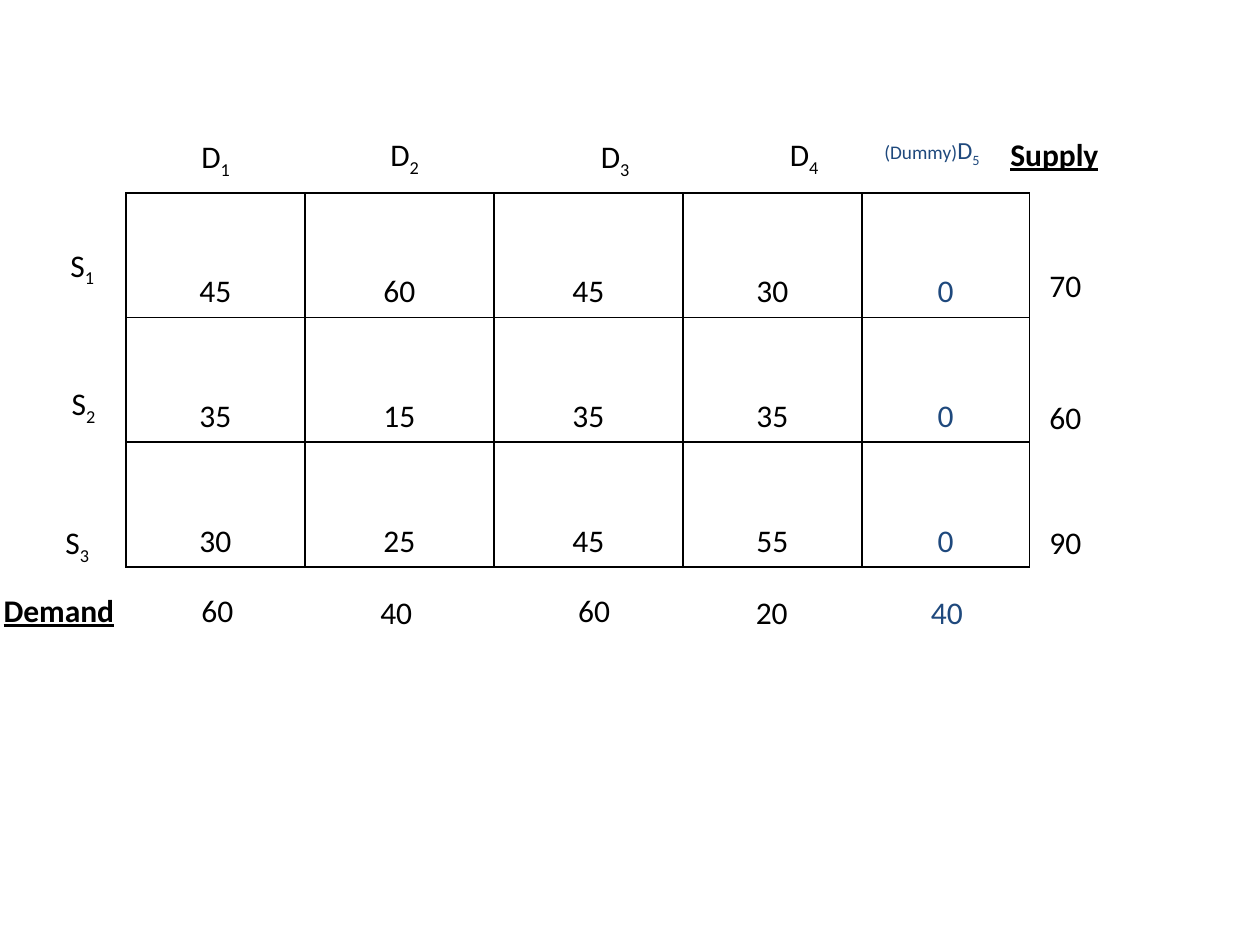
from lxml import etree
from pptx import Presentation
from pptx.dml.color import RGBColor
from pptx.enum.text import MSO_ANCHOR, MSO_AUTO_SIZE, PP_ALIGN
from pptx.oxml.ns import qn
from pptx.util import Inches, Pt

BLACK = RGBColor(0x00, 0x00, 0x00)
BLUE = RGBColor(0x1F, 0x49, 0x7D)
FONT = "Calibri"
CENTER = PP_ALIGN.CENTER
BOTTOM = MSO_ANCHOR.BOTTOM
GROW = MSO_AUTO_SIZE.SHAPE_TO_FIT_TEXT

COSTS = [
    [45, 60, 45, 30, 0],
    [35, 15, 35, 35, 0],
    [30, 25, 45, 55, 0],
]
COLUMN_WIDTHS = [1.42, 1.5, 1.5, 1.42, 1.33]
ROW_HEIGHT = 0.99
DUMMY_COLUMN = 4
SOURCES = [(0.46, 1.9), (0.47, 3), (0.42, 4.1)]
DESTINATIONS = [(1.5, 1.04), (3, 1.02), (4.67, 1.04), (6.17, 1.02)]
SUPPLIES = [(70, 2.06), (60, 3.11), (90, 4.1)]
DEMANDS = [
    (60, 1.5, 4.64, BLACK),
    (40, 2.92, 4.66, BLACK),
    (60, 4.49, 4.64, BLACK),
    (20, 5.9, 4.66, BLACK),
    (40, 7.29, 4.66, BLUE),
]


def style_font(font, color, size=18):
    """Apply the slide's typeface with a size and colour."""
    font.name = FONT
    font.size = Pt(size)
    font.color.rgb = color


def add_label(slide, text, left, top, width=0.5, height=0.4, color=BLACK):
    """Add a text box and return its paragraph."""
    box = slide.shapes.add_textbox(
        Inches(left), Inches(top), Inches(width), Inches(height)
    )
    frame = box.text_frame
    frame.word_wrap = True
    frame.auto_size = GROW
    paragraph = frame.paragraphs[0]
    paragraph.add_run().text = str(text)
    style_font(paragraph.font, color)
    return paragraph


def add_subscript(paragraph, text):
    """Append a subscript run and return it."""
    run = paragraph.add_run()
    run.text = str(text)
    run._r.get_or_add_rPr().set("baseline", "-25000")
    return run


def add_indexed_labels(slide, letter, positions, width):
    """Add one letter with a running subscript at each position."""
    for index, (left, top) in enumerate(positions, start=1):
        add_subscript(add_label(slide, letter, left, top, width), index)


def add_heading(slide, text, left, top):
    """Add a bold underlined heading."""
    font = add_label(slide, text, left, top, 1.67).font
    font.bold = True
    font.underline = True


def add_dummy_label(slide):
    """Add the heading of the dummy destination."""
    paragraph = add_label(slide, "(Dummy)", 6.92, 1.02, 1, 0.34, BLUE)
    letter = paragraph.add_run()
    letter.text = "D"
    subscript = add_subscript(paragraph, 5)
    for run, size in zip(paragraph.runs, (11, 14, 14)):
        style_font(run.font, BLUE, size)


def add_borders(cell):
    """Draw a black one-point line on all four sides of a cell."""
    properties = cell._tc.get_or_add_tcPr()
    for index, side in enumerate(("a:lnL", "a:lnR", "a:lnT", "a:lnB")):
        line = etree.Element(qn(side), w=str(Pt(1)))
        fill = etree.SubElement(line, qn("a:solidFill"))
        etree.SubElement(fill, qn("a:srgbClr"), val=str(BLACK))
        properties.insert(index, line)


def add_cost_table(slide):
    """Add the grid of transport costs."""
    table = slide.shapes.add_table(
        len(COSTS), len(COLUMN_WIDTHS), Inches(1), Inches(1.53),
        Inches(sum(COLUMN_WIDTHS)), Inches(ROW_HEIGHT * len(COSTS)),
    ).table
    table.first_row = False
    table.horz_banding = False
    for column, width in zip(table.columns, COLUMN_WIDTHS):
        column.width = Inches(width)
    for row_index, costs in enumerate(COSTS):
        table.rows[row_index].height = Inches(ROW_HEIGHT)
        for column_index, cost in enumerate(costs):
            cell = table.cell(row_index, column_index)
            cell.text = str(cost)
            cell.vertical_anchor = BOTTOM
            cell.fill.background()
            add_borders(cell)
            paragraph = cell.text_frame.paragraphs[0]
            paragraph.alignment = CENTER
            color = BLUE if column_index == DUMMY_COLUMN else BLACK
            style_font(paragraph.font, color)


def main():
    """Build the balanced transportation table slide."""
    presentation = Presentation()
    presentation.slide_width = Inches(10)
    presentation.slide_height = Inches(7.5)
    slide = presentation.slides.add_slide(presentation.slide_layouts[6])
    add_cost_table(slide)
    add_indexed_labels(slide, "S", SOURCES, 0.55)
    add_indexed_labels(slide, "D", DESTINATIONS, 0.74)
    for supply, top in SUPPLIES:
        add_label(slide, supply, 8.23, top)
    for demand, left, top, color in DEMANDS:
        add_label(slide, demand, left, top, color=color)
    add_heading(slide, "Supply", 7.92, 1.02)
    add_heading(slide, "Demand", -0.07, 4.64)
    add_dummy_label(slide)
    presentation.save("out.pptx")


if __name__ == "__main__":
    main()
